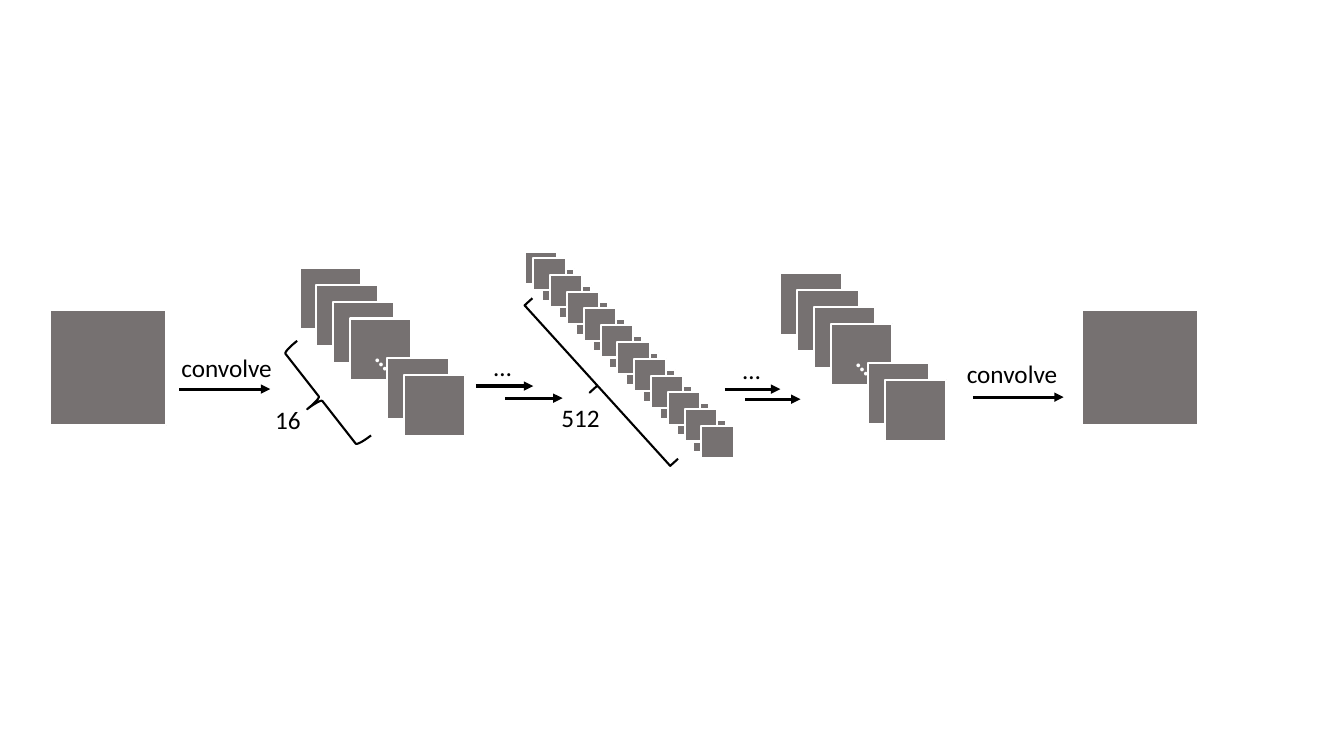
from lxml.etree import SubElement
from pptx import Presentation
from pptx.dml.color import RGBColor
from pptx.enum.shapes import MSO_CONNECTOR, MSO_SHAPE
from pptx.oxml.ns import qn
from pptx.util import Inches, Pt

COLORS = {"tile": "767171", "edge": "FFFFFF", "ink": "000000"}
STEP = 1 / 6
TEXT_H = 0.4


def color(name):
    return RGBColor.from_string(COLORS[name])


def text(slide, words, x, y, width, ink="ink", bold=False, turn=0):
    box = slide.shapes.add_textbox(*map(Inches, (x, y, width, TEXT_H)))
    box.rotation = turn
    box.text_frame.word_wrap = True
    run = box.text_frame.paragraphs[0].add_run()
    run.text = words
    run.font.name = "Calibri"
    run.font.size = Pt(18)
    run.font.bold = bold
    run.font.color.rgb = color(ink)


def tile(slide, x, y, size):
    shape = slide.shapes.add_shape(
        MSO_SHAPE.RECTANGLE, *map(Inches, (x, y, size, size)))
    shape.shadow.inherit = False
    shape.fill.solid()
    shape.fill.fore_color.rgb = color("tile")
    shape.line.color.rgb = color("edge")
    shape.line.width = Pt(1.5)


def brace(slide, x, y, width, height, turn, curve=None):
    shape = slide.shapes.add_shape(
        MSO_SHAPE.LEFT_BRACE, *map(Inches, (x, y, width, height)))
    shape.rotation = turn
    shape.shadow.inherit = False
    shape.fill.background()
    shape.line.color.rgb = color("ink")
    shape.line.width = Pt(1.5)
    if curve is not None:
        shape.adjustments[0] = curve


def arrow(slide, x, y, length):
    line = slide.shapes.add_connector(
        MSO_CONNECTOR.STRAIGHT, *map(Inches, (x, y, x + length, y)))
    line.line.color.rgb = color("ink")
    line.line.width = Pt(2.25)
    SubElement(line.line._get_or_add_ln(), qn("a:tailEnd"), type="triangle")
    SubElement(line._element.spPr, qn("a:effectLst"))


def row(slide, x, y, size, count):
    """Place tiles of one size down a diagonal."""
    for i in range(count):
        tile(slide, x + i * STEP, y + i * STEP, size)


def stack(slide, x, y):
    """Place four tiles, an ellipsis and the last two tiles."""
    row(slide, x, y, 0.61, 4)
    row(slide, x + 0.87, y + 0.89, 0.61, 2)
    text(slide, "…", x + 0.66, y + 0.76, 0.52, ink="edge", bold=True, turn=47.8)


def first(slide, x, y):
    stack(slide, x, y)
    brace(slide, x + 0.04, y + 0.7, 0.34, 1.19, 322)
    text(slide, "16", x - 0.34, y + 1.3, 0.51)


def middle(slide, x, y):
    row(slide, x, y, 0.32, 11)
    row(slide, x + 0.08, y + 0.06, 0.32, 11)
    brace(slide, x + 0.61, y + 0.25, 0.21, 2.15, 317.8, curve=0)
    text(slide, "512", x + 0.26, y + 1.44, 0.66)


def convolve(slide, x, y, lead, drop):
    """Place the label, with its arrow lead to the right and drop below."""
    text(slide, "convolve", x, y, 1.21)
    arrow(slide, x + lead, y + drop, 0.9)


def skip(slide, x, y, length, shift, drop, lead):
    """Place two staggered arrows under an ellipsis."""
    arrow(slide, x, y, length)
    arrow(slide, x + shift, y + drop, length)
    text(slide, "…", x + lead, y - 0.39, 1.21)


def main():
    deck = Presentation()
    deck.slide_width, deck.slide_height = Inches(13.33), Inches(7.5)
    slide = deck.slides.add_slide(deck.slide_layouts[6])
    tile(slide, 0.5, 3.07, 1.15)
    convolve(slide, 1.7, 3.45, 0.08, 0.41)
    first(slide, 2.97, 2.66)
    middle(slide, 5.21, 2.5)
    skip(slide, 4.72, 3.83, 0.57, 0.29, 0.12, 0.08)
    stack(slide, 7.74, 2.71)
    skip(slide, 7.19, 3.86, 0.55, 0.2, 0.1, 0.08)
    convolve(slide, 9.49, 3.51, 0.16, 0.43)
    tile(slide, 10.73, 3.07, 1.15)
    deck.save("out.pptx")


if __name__ == "__main__":
    main()
